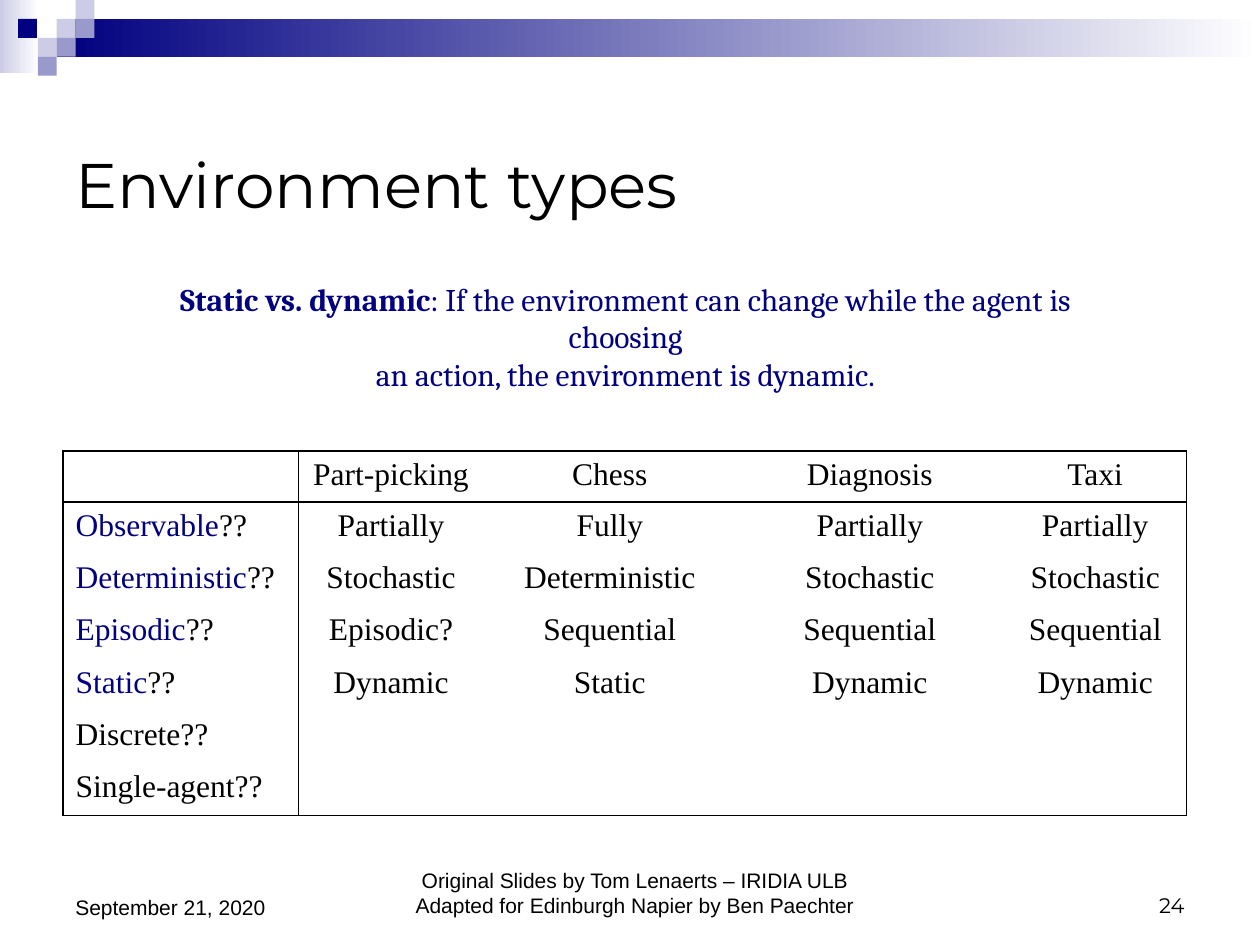
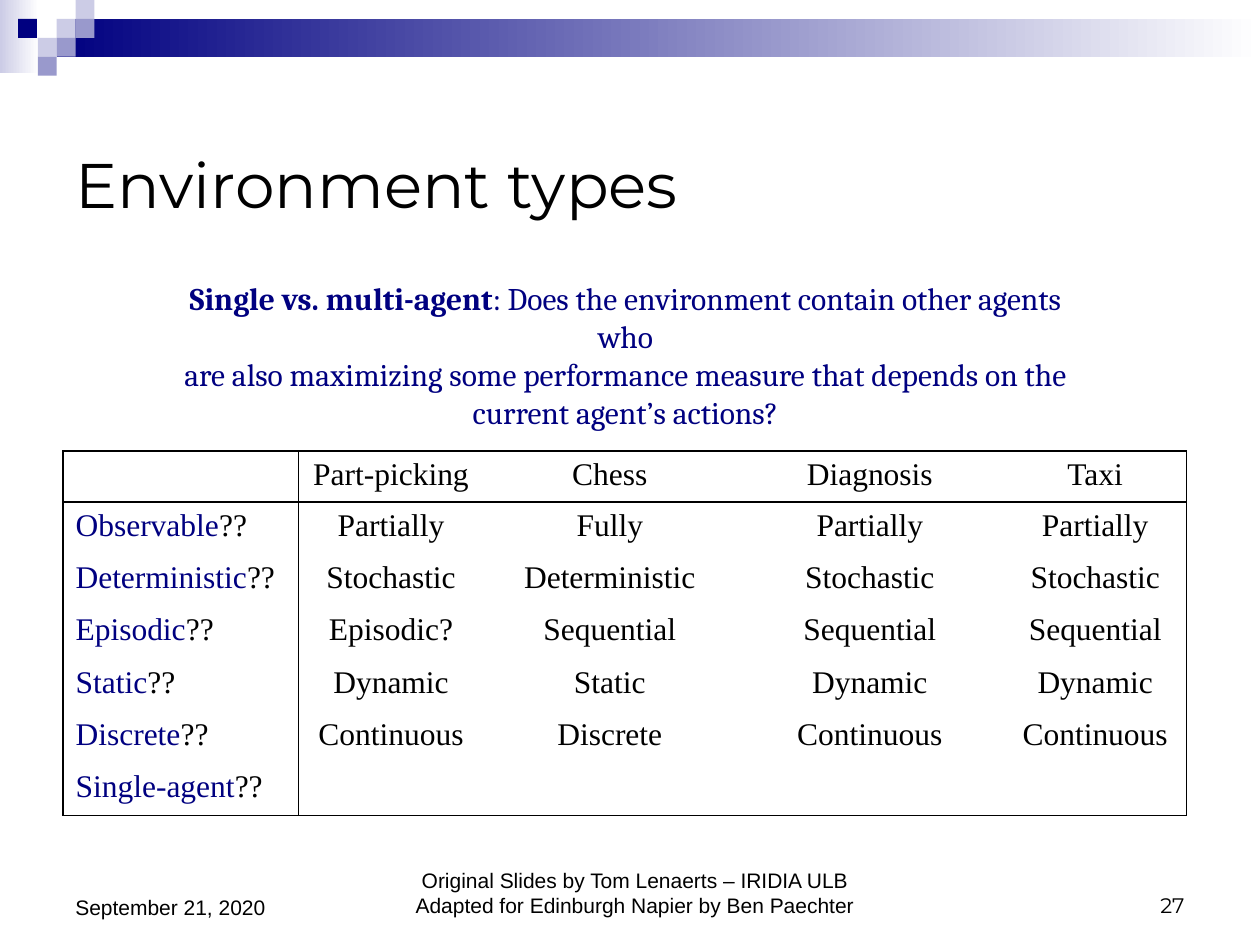
from pptx import Presentation
from pptx.dml.color import RGBColor
from pptx.enum.shapes import MSO_SHAPE as Shape
from pptx.enum.text import MSO_ANCHOR as Anchor, PP_ALIGN as Align
from pptx.oxml import parse_xml
from pptx.oxml.ns import nsdecls
from pptx.util import Pt

NAVY, LILAC, PALE, WHITE, BLACK = "000080", "9999CC", "CCCCE6", "FFFFFF", "000000"
TITLE_ONLY = 5

SQUARE = 10.8
SQUARES = [
    (32.4, 10.8, PALE), (43.2, 0, PALE), (43.2, 10.8, LILAC), (21.6, 21.6, PALE),
    (10.3, 10.8, NAVY), (32.4, 21.6, LILAC), (21.6, 32.4, LILAC),
]

COLUMN_WIDTHS = [134.5, 106, 144, 153.2, 104.4]
ROW_HEIGHTS = [29] + [29.85] * 6
TASKS = ["Part-picking", "Chess", "Diagnosis", "Taxi"]
PROPERTIES = [
    ("Observable", ["Partially", "Fully", "Partially", "Partially"]),
    ("Deterministic", ["Stochastic", "Deterministic", "Stochastic", "Stochastic"]),
    ("Episodic", ["Episodic?", "Sequential", "Sequential", "Sequential"]),
    ("Static", ["Dynamic", "Static", "Dynamic", "Dynamic"]),
    ("Discrete", ["Continuous", "Discrete", "Continuous", "Continuous"]),
    ("Single-agent", []),
]


def color(value):
    return RGBColor.from_string(value)


def points(*lengths):
    return [Pt(length) for length in lengths]


def set_font(font, name, size, fill=BLACK):
    font.name, font.size = name, Pt(size)
    font.color.rgb = color(fill)


def add_spans(para, spans):
    """Add (text, colour, bold) spans to a paragraph."""
    for text, fill, bold in spans:
        span = para.add_run()
        span.text = text
        span.font.bold = bold
        span.font.color.rgb = color(fill)


def add_text(page, box, lines, font, size, align, anchor=Anchor.TOP):
    """Add a text box with one paragraph per list of spans."""
    frame = page.shapes.add_textbox(*points(*box)).text_frame
    frame.word_wrap = True
    frame.vertical_anchor = anchor
    for index, spans in enumerate(lines):
        para = frame.add_paragraph() if index else frame.paragraphs[0]
        para.alignment = align
        set_font(para.font, font, size, spans[0][1])
        add_spans(para, spans)


def add_band(page, left, top):
    group = page.shapes.add_group_shape()

    def add_block(x, y, width, height):
        block = group.shapes.add_shape(
            Shape.RECTANGLE, *points(left + x, top + y, width, height))
        block.shadow.inherit = False
        block.line.fill.background()
        return block

    for box, start in [((0, 0, 22.3, 41.8), PALE), ((32.4, 10.8, 687.6, 21.6), NAVY)]:
        fill = add_block(*box).fill
        fill.gradient()
        fill.gradient_angle = 0
        for stop, shade in zip(fill.gradient_stops, (start, WHITE)):
            stop.color.rgb = color(shade)
    for x, y, shade in SQUARES:
        fill = add_block(x, y, SQUARE, SQUARE).fill
        fill.solid()
        fill.fore_color.rgb = color(shade)


def add_footer(page, left, top, number):
    parts = [
        (182.2, 289.4, 36, "Arial", Align.CENTER,
         ["Original Slides by Tom Lenaerts – IRIDIA ULB",
          "Adapted for Edinburgh Napier by Ben Paechter"]),
        (480.2, 167.8, 36, "Montserrat", Align.RIGHT, [str(number)]),
        (0, 167.8, 37.4, "Arial", Align.LEFT, ["September 21, 2020"]),
    ]
    for x, width, height, font, align, texts in parts:
        lines = [[(text, BLACK, False)] for text in texts]
        add_text(page, (left + x, top, width, height), lines, font, 12, align, Anchor.BOTTOM)


def set_title(page, box, text):
    title = page.shapes.title
    title.left, title.top, title.width, title.height = points(*box)
    title.text_frame.text = text
    title.text_frame.vertical_anchor = Anchor.MIDDLE
    para = title.text_frame.paragraphs[0]
    para.alignment = Align.LEFT
    set_font(para.font, "Montserrat", 36)


def set_borders(cell, drawn):
    """Draw the sides named in drawn and clear the others."""
    properties = cell._tc.get_or_add_tcPr()
    for side in "LRTB":
        paint = (f'<a:solidFill><a:srgbClr val="{BLACK}"/></a:solidFill>'
                 if side in drawn else "<a:noFill/>")
        properties.append(parse_xml(
            f'<a:ln{side} {nsdecls("a")} w="{Pt(1)}">{paint}</a:ln{side}>'))


def add_property_table(page, left, top, answered, highlighted):
    """Show the first answered rows of values and the first highlighted labels in navy."""
    rows = [[[]] + [[(task, BLACK, False)] for task in TASKS]]
    for index, (name, values) in enumerate(PROPERTIES):
        label = [(name, NAVY if index < highlighted else BLACK, False), ("??", BLACK, False)]
        shown = values if index < answered else []
        rows.append([label] + [[(value, BLACK, False)] for value in shown])

    size = points(left, top, sum(COLUMN_WIDTHS), sum(ROW_HEIGHTS))
    table = page.shapes.add_table(len(ROW_HEIGHTS), len(COLUMN_WIDTHS), *size).table
    table.first_row = table.horz_banding = False
    for column, width in zip(table.columns, COLUMN_WIDTHS):
        column.width = Pt(width)
    last_row, last_column = len(ROW_HEIGHTS) - 1, len(COLUMN_WIDTHS) - 1
    for r, height in enumerate(ROW_HEIGHTS):
        table.rows[r].height = Pt(height)
        for c in range(len(COLUMN_WIDTHS)):
            cell = table.cell(r, c)
            sides = [("L", c in (0, 1)), ("R", c in (0, last_column)),
                     ("T", r in (0, 1)), ("B", r in (0, last_row))]
            set_borders(cell, [side for side, drawn in sides if drawn])
            cell.fill.background()
            para = cell.text_frame.paragraphs[0]
            para.alignment = Align.CENTER if c else Align.LEFT
            set_font(para.font, "Times New Roman", 18)
            if c < len(rows[r]):
                add_spans(para, rows[r][c])


def add_environment_page(deck, number, question_box, term, lines, answered, highlighted):
    page = deck.slides.add_slide(deck.slide_layouts[TITLE_ONLY])
    add_band(page, 0, 0)
    add_footer(page, 36, 491.8, number)
    set_title(page, (36, 59.8, 648, 90), "Environment types")
    add_property_table(page, 36, 257.8, answered, highlighted)
    question = [[(line, NAVY, False)] for line in lines]
    question[0].insert(0, (term, NAVY, True))
    add_text(page, question_box, question, "Cambria", 18, Align.CENTER)


def main():
    deck = Presentation()
    deck.slide_width, deck.slide_height = points(720, 540)
    add_environment_page(
        deck, 24, (63.4, 156.2, 588.2, 51), "Static vs. dynamic",
        [": If the environment can change while the agent is choosing",
         "an action, the environment is dynamic."],
        answered=4, highlighted=4)
    add_environment_page(
        deck, 27, (90.7, 156.2, 533.5, 72), "Single vs. multi-agent",
        [": Does the environment contain other agents who",
         "are also maximizing some performance measure that depends on the",
         "current agent’s actions?"],
        answered=5, highlighted=6)
    deck.save("out.pptx")


if __name__ == "__main__":
    main()
